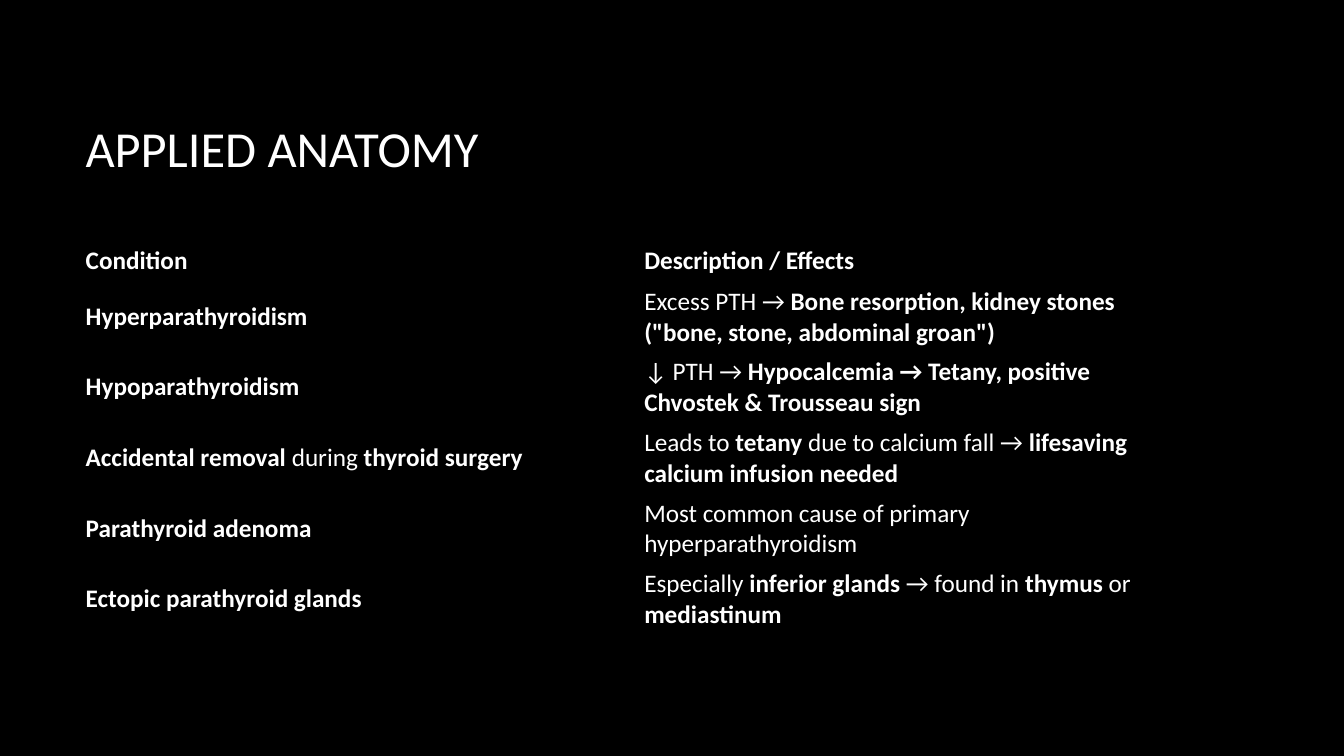
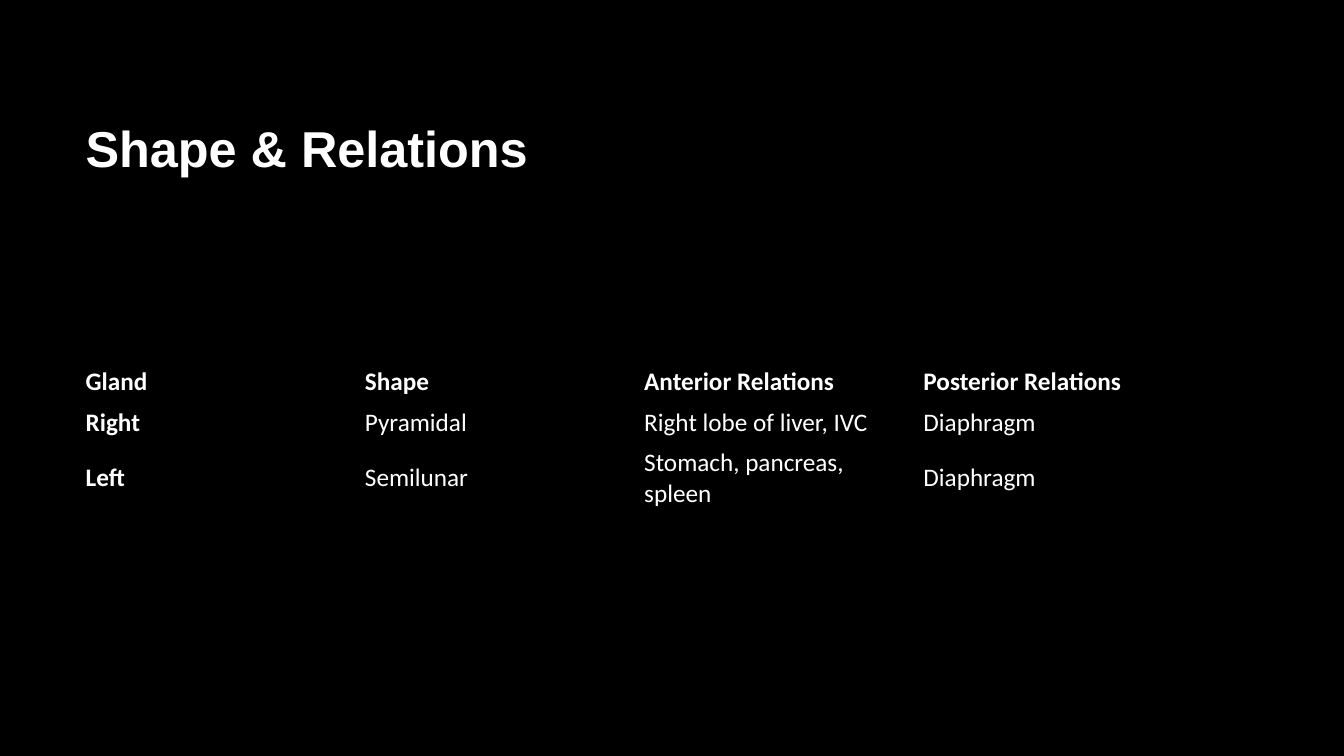
from dataclasses import dataclass

from pptx import Presentation
from pptx.dml.color import RGBColor
from pptx.enum.text import MSO_ANCHOR as Anchor
from pptx.oxml.ns import qn
from pptx.util import Inches, Pt


@dataclass(frozen=True)
class Theme:
    background: RGBColor = RGBColor(0x00, 0x00, 0x00)
    ink: RGBColor = RGBColor(0xFF, 0xFF, 0xFF)
    body_font: str = "Calibri"
    title_size: int = 36
    body_size: int = 18


# Slide and column grid, in inches
SLIDE_WIDTH, SLIDE_HEIGHT = 13.33, 7.5
LEFT, COLUMN, COLUMNS = 0.75, 2.77, 4
TITLE_TOP, TITLE_HEIGHT = 0.67, 1.59
LINE_HEIGHT, CELL_PADDING = 0.3, 0.1

PLAIN_TABLE = "{2D5ABB26-0587-4C30-8999-92F81FD0307C}"  # no style, no grid
BOLD_MARK = "**"

CONDITIONS = [
    ("**Condition**", "**Description / Effects**"),
    ("**Hyperparathyroidism**",
     'Excess PTH → **Bone resorption, kidney stones ("bone, stone, abdominal groan")**'),
    ("**Hypoparathyroidism**",
     "↓ PTH → **Hypocalcemia → Tetany, positive Chvostek & Trousseau sign**"),
    ("**Accidental removal** during **thyroid surgery**",
     "Leads to **tetany** due to calcium fall → **lifesaving calcium infusion needed**"),
    ("**Parathyroid adenoma**",
     "Most common cause of primary hyperparathyroidism"),
    ("**Ectopic parathyroid glands**",
     "Especially **inferior glands** → found in **thymus** or **mediastinum**"),
]

RELATIONS = [
    ("**Gland**", "**Shape**", "**Anterior Relations**", "**Posterior Relations**"),
    ("**Right**", "Pyramidal", "Right lobe of liver, IVC", "Diaphragm"),
    ("**Left**", "Semilunar", "Stomach, pancreas, spleen", "Diaphragm"),
]


def write(paragraph, text, *, font, size, color):
    """Add text to the paragraph; parts between ** marks become bold."""
    for index, part in enumerate(text.split(BOLD_MARK)):
        if part:
            run = paragraph.add_run()
            run.text = part
            run.font.name = font
            run.font.size = Pt(size)
            run.font.bold = index % 2 == 1
            run.font.color.rgb = color


class Deck:
    def __init__(self, theme):
        self.theme = theme
        self.presentation = Presentation()
        self.presentation.slide_width = Inches(SLIDE_WIDTH)
        self.presentation.slide_height = Inches(SLIDE_HEIGHT)
        self.slide = None

    def add_slide(self):
        blank = self.presentation.slide_layouts[6]
        self.slide = self.presentation.slides.add_slide(blank)
        fill = self.slide.background.fill
        fill.solid()
        fill.fore_color.rgb = self.theme.background

    def add_title(self, text, font=None):
        shape = self.slide.shapes.add_textbox(
            Inches(LEFT), Inches(TITLE_TOP),
            Inches(COLUMN * COLUMNS), Inches(TITLE_HEIGHT))
        frame = shape.text_frame
        frame.word_wrap = True
        frame.vertical_anchor = Anchor.MIDDLE
        write(frame.paragraphs[0], text, font=font or self.theme.body_font,
              size=self.theme.title_size, color=self.theme.ink)

    def add_table(self, rows, top, row_lines):
        """Add a full-width table; row_lines holds the text lines in each row."""
        heights = [lines * LINE_HEIGHT + CELL_PADDING for lines in row_lines]
        column_count = len(rows[0])
        shape = self.slide.shapes.add_table(
            len(rows), column_count, Inches(LEFT), Inches(top),
            Inches(COLUMN * COLUMNS), Inches(sum(heights)))
        table = shape.table
        table.first_row = table.horz_banding = False
        table._tbl.tblPr.find(qn("a:tableStyleId")).text = PLAIN_TABLE
        for column in table.columns:
            column.width = Inches(COLUMN * COLUMNS / column_count)
        for table_row, height, texts in zip(table.rows, heights, rows):
            table_row.height = Inches(height)
            for cell, text in zip(table_row.cells, texts):
                cell.fill.background()
                cell.vertical_anchor = Anchor.MIDDLE
                write(cell.text_frame.paragraphs[0], text,
                      font=self.theme.body_font, size=self.theme.body_size,
                      color=self.theme.ink)


def main():
    deck = Deck(Theme())

    deck.add_slide()
    deck.add_title("APPLIED ANATOMY")
    deck.add_table(CONDITIONS, top=2.39, row_lines=[1, 2, 2, 2, 2, 2])

    deck.add_slide()
    deck.add_title("**Shape & Relations**", font="Arial")
    deck.add_table(RELATIONS, top=3.59, row_lines=[1, 1, 2])

    deck.presentation.save("out.pptx")


if __name__ == "__main__":
    main()
